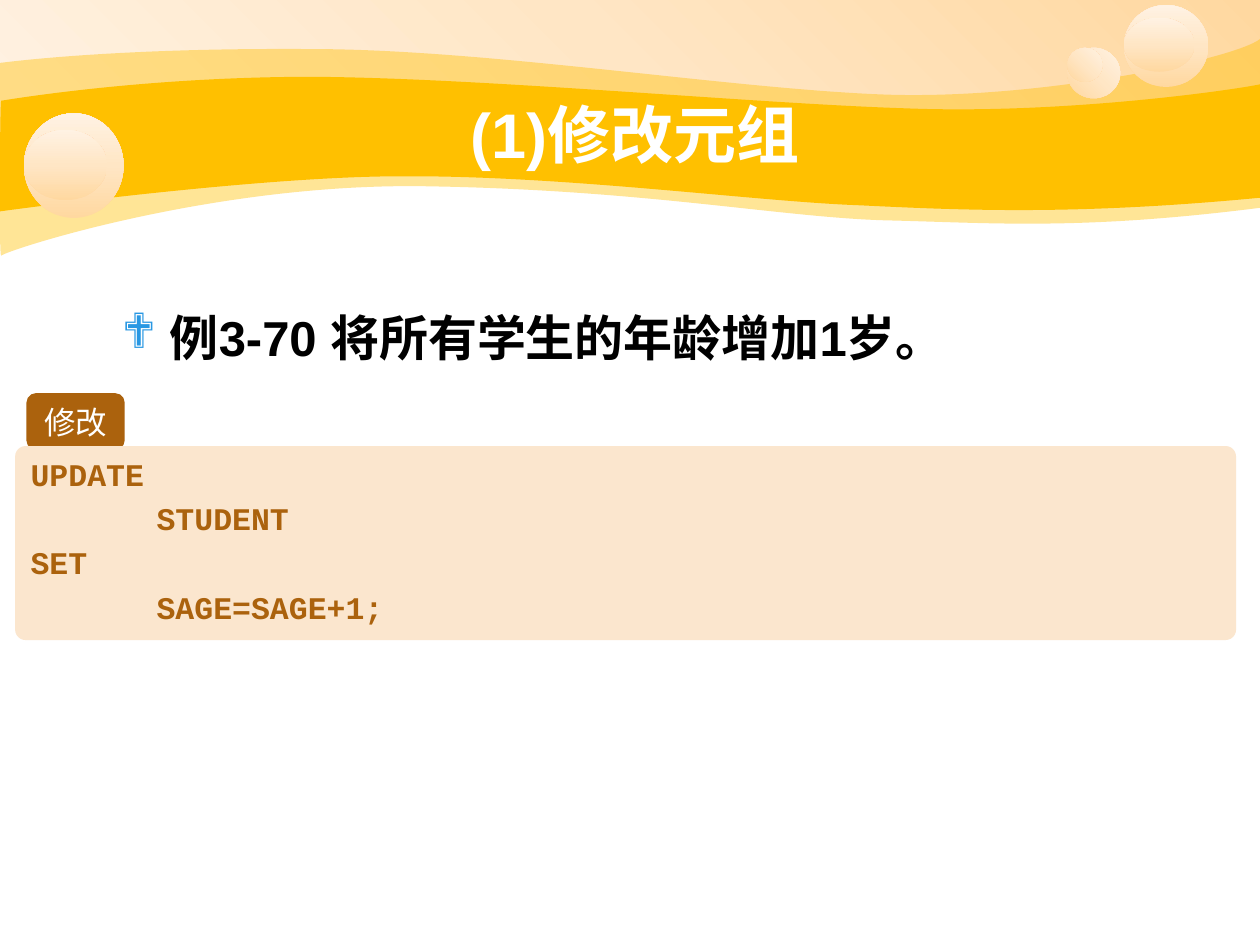
from copy import deepcopy
from typing import NamedTuple, Optional

from pptx import Presentation
from pptx.dml.color import RGBColor
from pptx.enum.shapes import MSO_SHAPE
from pptx.enum.text import MSO_ANCHOR, PP_ALIGN
from pptx.oxml.ns import qn
from pptx.oxml.xmlchemy import OxmlElement
from pptx.util import Inches, Pt

CREAM_STOPS = ((0, "FFD8A0"), (0.5, "FFE6C5"), (1, "FFF2E3"))
GOLD, BROWN, SAND, WHITE = "FFC000", "AB620D", "FBE6CE", "FFFFFF"


class Box(NamedTuple):
    left: float
    top: float
    width: float
    height: float


class Bubble(NamedTuple):
    outer: Box
    inner: Box
    angle: int


class Bullet(NamedTuple):
    character: str
    color: str
    indent: float


class TextStyle(NamedTuple):
    font: str
    size: int
    color: str
    bold: bool = True
    align: PP_ALIGN = PP_ALIGN.LEFT
    anchor: MSO_ANCHOR = MSO_ANCHOR.MIDDLE
    space_before: float = 0
    bullet: Optional[Bullet] = None
    tab_stop: Optional[float] = None


class Wave(NamedTuple):
    start: tuple
    segments: tuple  # two numbers: a line; six numbers: a Bezier curve
    opacity: Optional[int] = None


BUBBLES = (
    Bubble(Box(8.47, 0.38, 0.42, 0.4), Box(8.47, 0.38, 0.28, 0.27), 315),
    Bubble(Box(8.92, 0.04, 0.67, 0.65), Box(8.92, 0.14, 0.56, 0.43), 270),
    Bubble(Box(0.19, 0.9, 0.79, 0.83), Box(0.19, 1.03, 0.66, 0.56), 270),
)
WAVES = (
    Wave((0, 0.5), (
        (0.24, 0.47, 1.07, 0.38, 2.47, 0.39), (3.86, 0.39, 5.75, 0.7, 6.99, 0.75),
        (8.22, 0.8, 9.8, 0.47, 10, 0.31), (10, 1.65),
        (8.58, 1.83, 7.88, 1.77, 7.05, 1.75), (6.22, 1.73, 5.15, 1.51, 3.43, 1.48),
        (1.72, 1.44, 0.04, 1.99, 0.01, 2.03), (-0.01, 2.08, 0, 0.75, 0, 0.5)), 41),
    Wave((0.01, 0.8), (
        (0.02, 0.8, 1.1, 0.61, 2.48, 0.61), (3.86, 0.62, 5.95, 0.82, 7.18, 0.86),
        (8.41, 0.91, 9.76, 0.72, 10, 0.67), (10, 1.57),
        (8.53, 1.71, 7.65, 1.67, 6.82, 1.63), (5.99, 1.6, 4.47, 1.39, 3.17, 1.4),
        (2.03, 1.4, -0.02, 1.68, -0.01, 1.68), (0, 1.68, 0, 0.8, 0.01, 0.8))),
)


def rgb(color: str) -> RGBColor:
    return RGBColor.from_string(color)


def make_element(tag: str, **attributes: str):
    element = OxmlElement(tag)
    for name, value in attributes.items():
        element.set(name, value)
    return element


def add_plain_shape(slide, kind: MSO_SHAPE, box: Box):
    shape = slide.shapes.add_shape(kind, *map(Inches, box))
    shape.shadow.inherit = False
    shape.line.fill.background()
    return shape


def fill_solid(shape, color: str, opacity: Optional[int] = None) -> None:
    shape.fill.solid()
    shape.fill.fore_color.rgb = rgb(color)
    if opacity is not None:
        color_element = shape._element.spPr.find(".//" + qn("a:srgbClr"))
        color_element.append(make_element("a:alpha", val=str(opacity * 1000)))


def add_cream_shape(slide, kind: MSO_SHAPE, box: Box, clockwise_angle: int) -> None:
    shape = add_plain_shape(slide, kind, box)
    shape.fill.gradient()
    shape.fill.gradient_angle = 360 - clockwise_angle
    stop_list = shape._element.spPr.find(".//" + qn("a:gsLst"))
    stop_list.insert(1, deepcopy(stop_list[0]))
    for stop, (position, color) in zip(shape.fill.gradient_stops, CREAM_STOPS):
        stop.position = position
        stop.color.rgb = rgb(color)


def add_wave(slide, wave: Wave) -> None:
    # Lay all points, controls included, as lines; then merge triples into curves
    points = [tuple(map(Inches, segment[index:index + 2]))
              for segment in wave.segments for index in range(0, len(segment), 2)]
    builder = slide.shapes.build_freeform(*map(Inches, wave.start))
    builder.add_line_segments(points, close=True)
    shape = builder.convert_to_shape()
    lines = iter(shape._element.spPr.findall(".//" + qn("a:lnTo")))
    for segment in wave.segments:
        steps = [next(lines) for _ in range(len(segment) // 2)]
        if len(steps) == 3:
            curve = make_element("a:cubicBezTo")
            steps[0].addprevious(curve)
            for step in steps:
                curve.append(step[0])
                step.getparent().remove(step)
    shape.shadow.inherit = False
    shape.line.fill.background()
    fill_solid(shape, GOLD, wave.opacity)


def add_bullet(paragraph, bullet: Bullet) -> None:
    properties = paragraph._p.get_or_add_pPr()
    properties.set("marL", str(Inches(bullet.indent)))
    properties.set("indent", str(-Inches(bullet.indent)))
    bullet_color = make_element("a:buClr")
    bullet_color.append(make_element("a:srgbClr", val=bullet.color))
    properties.extend((bullet_color, make_element("a:buFont", typeface="Wingdings"),
                       make_element("a:buChar", char=bullet.character)))


def add_tab_stop(paragraph, position: float) -> None:
    tab_list = make_element("a:tabLst")
    tab_list.append(make_element("a:tab", pos=str(Inches(position)), algn="l"))
    paragraph._p.get_or_add_pPr().append(tab_list)


def write_text(shape, lines: tuple, style: TextStyle) -> None:
    frame = shape.text_frame
    frame.word_wrap = True
    frame.vertical_anchor = style.anchor
    for index, line in enumerate(lines):
        paragraph = frame.add_paragraph() if index else frame.paragraphs[0]
        paragraph.text = line
        paragraph.alignment = style.align
        if index:
            paragraph.space_before = Pt(style.space_before)
        if style.bullet:
            add_bullet(paragraph, style.bullet)
        if style.tab_stop:
            add_tab_stop(paragraph, style.tab_stop)
        font = paragraph.font
        font.name, font.size, font.bold = style.font, Pt(style.size), style.bold
        font.color.rgb = rgb(style.color)


def add_text(slide, box: Box, line: str, style: TextStyle) -> None:
    write_text(slide.shapes.add_textbox(*map(Inches, box)), (line,), style)


def add_panel(slide, box: Box, color: str, lines: tuple, style: TextStyle,
              corner: Optional[float] = None) -> None:
    panel = add_plain_shape(slide, MSO_SHAPE.ROUNDED_RECTANGLE, box)
    if corner is not None:
        panel.adjustments[0] = corner
    fill_solid(panel, color)
    write_text(panel, lines, style)


def main() -> None:
    presentation = Presentation()
    presentation.slide_width, presentation.slide_height = Inches(10), Inches(7.5)
    slide = presentation.slides.add_slide(presentation.slide_layouts[6])

    # Banner with waves and bubbles
    add_cream_shape(slide, MSO_SHAPE.RECTANGLE, Box(0, 0, 10, 1.15), 135)
    for wave in WAVES:
        add_wave(slide, wave)
    for bubble in BUBBLES:
        for box in (bubble.outer, bubble.inner):
            add_cream_shape(slide, MSO_SHAPE.OVAL, box, bubble.angle)

    # Title and example
    add_text(slide, Box(1, 0.75, 8.08, 0.62), "(1)修改元组",
             TextStyle("Arial", 36, WHITE, align=PP_ALIGN.CENTER))
    add_text(slide, Box(0.87, 2.39, 9, 3.69), "例3-70 将所有学生的年龄增加1岁。",
             TextStyle("Arial", 28, "000000", anchor=MSO_ANCHOR.TOP,
                       bullet=Bullet("❖", "2998E3", 0.38)))

    # Labelled code panel
    add_panel(slide, Box(0.21, 3.12, 0.78, 0.45), BROWN, ("修改",),
              TextStyle("DejaVu Sans Mono", 18, WHITE, False, PP_ALIGN.CENTER))
    add_panel(slide, Box(0.12, 3.54, 9.69, 1.54), SAND,
              ("UPDATE", "\tSTUDENT", "SET", "\tSAGE=SAGE+1;"),
              TextStyle("Courier New", 18, BROWN, anchor=MSO_ANCHOR.TOP,
                        space_before=3.6, tab_stop=1), 0.054)

    presentation.save("out.pptx")


if __name__ == "__main__":
    main()
